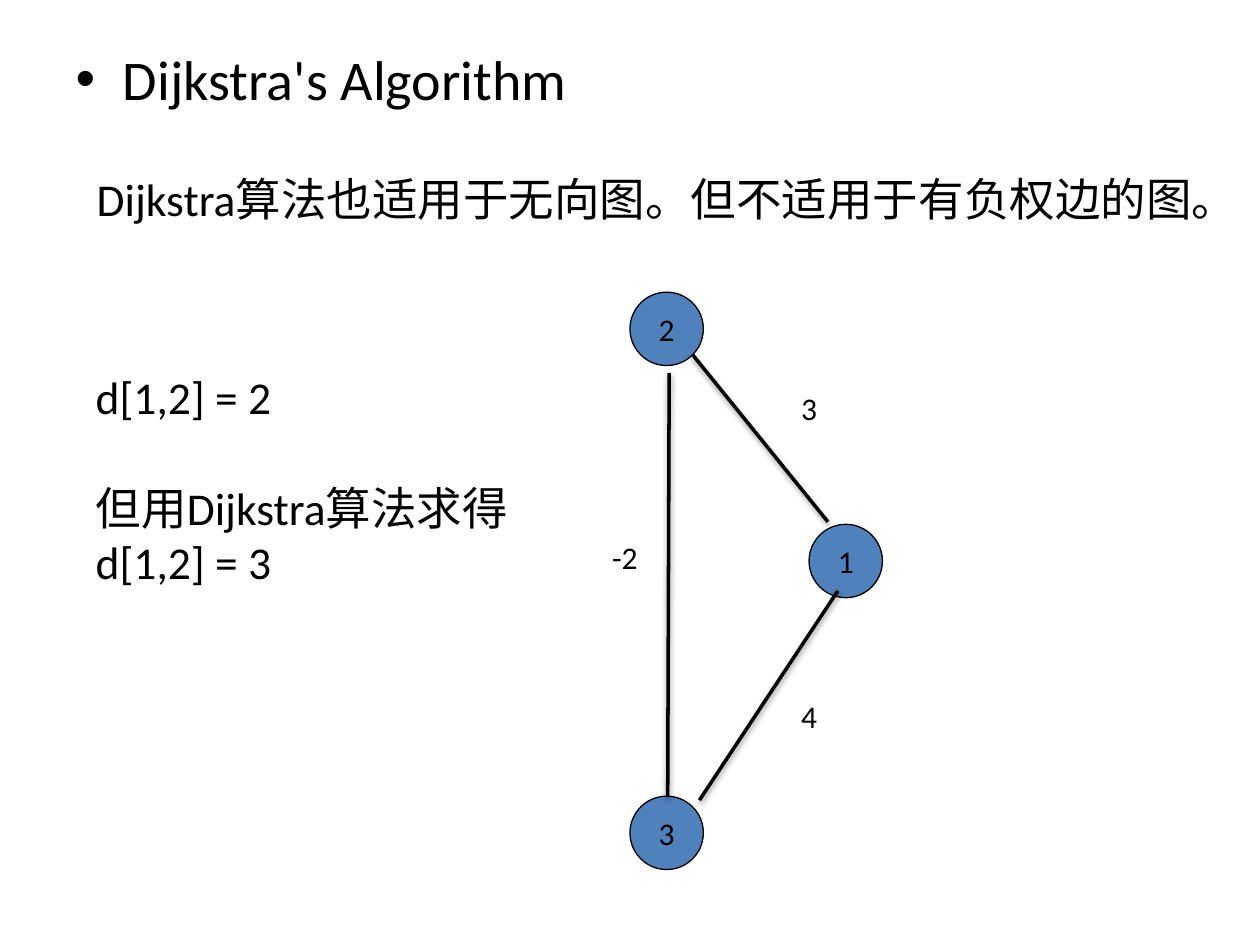
import pptx
import pptx.dml.color
import pptx.enum.shapes
import pptx.enum.text
import pptx.util

Cm = pptx.util.Cm
Pt = pptx.util.Pt
ALIGN = pptx.enum.text.PP_ALIGN
FIT = pptx.enum.text.MSO_AUTO_SIZE


def color(hex_string):
    return pptx.dml.color.RGBColor.from_string(hex_string)


def write(box, lines, size, frame_format, para_format):
    """Fill a shape with paragraphs and apply the given formats."""
    frame = box.text_frame
    for name, value in frame_format.items():
        setattr(frame, name, value)
    frame.text = "\n".join(lines)
    font_format = {"name": "Calibri", "size": Pt(size)}
    for para in frame.paragraphs:
        for name, value in para_format.items():
            setattr(para, name, value)
        for span in para.runs:
            for name, value in font_format.items():
                setattr(span.font, name, value)
            span.font.color.rgb = color("000000")


deck = pptx.Presentation()
deck.slide_width, deck.slide_height = Cm(25.4), Cm(19.05)
page = deck.slides.add_slide(deck.slide_layouts[1])
title = page.shapes.title
title.element.getparent().remove(title.element)

# Bulleted heading
heading = page.placeholders[1]
heading_format = {"left": Cm(1.27), "top": Cm(0.76), "width": Cm(22.86), "height": Cm(1.75)}
for name, value in heading_format.items():
    setattr(heading, name, value)
write(heading, ["Dijkstra's Algorithm"], 32, {"auto_size": FIT.NONE}, {})

# Remarks and edge weights: left, top, width, height, size, wrap, lines
texts = [
    (1.7, 3.33, 23.72, 2.13, 26, False, ["Dijkstra算法也适用于无向图。但不适用于有负权边的图。"]),
    (1.68, 7.32, 9.02, 4.7, 26, True, ["d[1,2] = 2", "但用Dijkstra算法求得 d[1,2] = 3"]),
    (12.09, 10.72, 1.04, 1.02, 18, True, ["-2"]),
    (15.9, 7.72, 0.84, 1.02, 18, False, ["3"]),
    (15.9, 13.92, 0.84, 1.02, 18, False, ["4"]),
]
for left, top, width, height, size, wrap, lines in texts:
    box = page.shapes.add_textbox(Cm(left), Cm(top), Cm(width), Cm(height))
    write(box, lines, size, {"word_wrap": wrap, "auto_size": FIT.SHAPE_TO_FIT_TEXT}, {})
    for para in box.text_frame.paragraphs[1:]:
        para.space_before = Pt(32)

# Graph vertices
diameter = Cm(1.48)
node_frame = {"word_wrap": False, "vertical_anchor": pptx.enum.text.MSO_ANCHOR.MIDDLE}
for label, left, top in [("2", 12.7, 5.89), ("3", 12.7, 16.05), ("1", 16.31, 10.57)]:
    node = page.shapes.add_shape(
        pptx.enum.shapes.MSO_SHAPE.OVAL, Cm(left), Cm(top), diameter, diameter)
    node.shadow.inherit = False
    node.fill.solid()
    node.fill.fore_color.rgb = color("4F81BD")
    node.line.color.rgb = color("000000")
    node.line.width = Pt(0.75)
    write(node, [label], 18, node_frame, {"alignment": ALIGN.CENTER})

# Graph edges keep the soft shadow of the theme
edges = [
    (13.97, 7.16, 16.69, 10.52),
    (16.89, 11.91, 14.1, 16.13),
    (13.49, 7.52, 13.46, 16.05),
]
for ends in edges:
    edge = page.shapes.add_connector(
        pptx.enum.shapes.MSO_CONNECTOR.STRAIGHT, *[Cm(end) for end in ends])
    edge.line.color.rgb = color("000000")
    edge.line.width = Pt(2)

deck.save("out.pptx")
